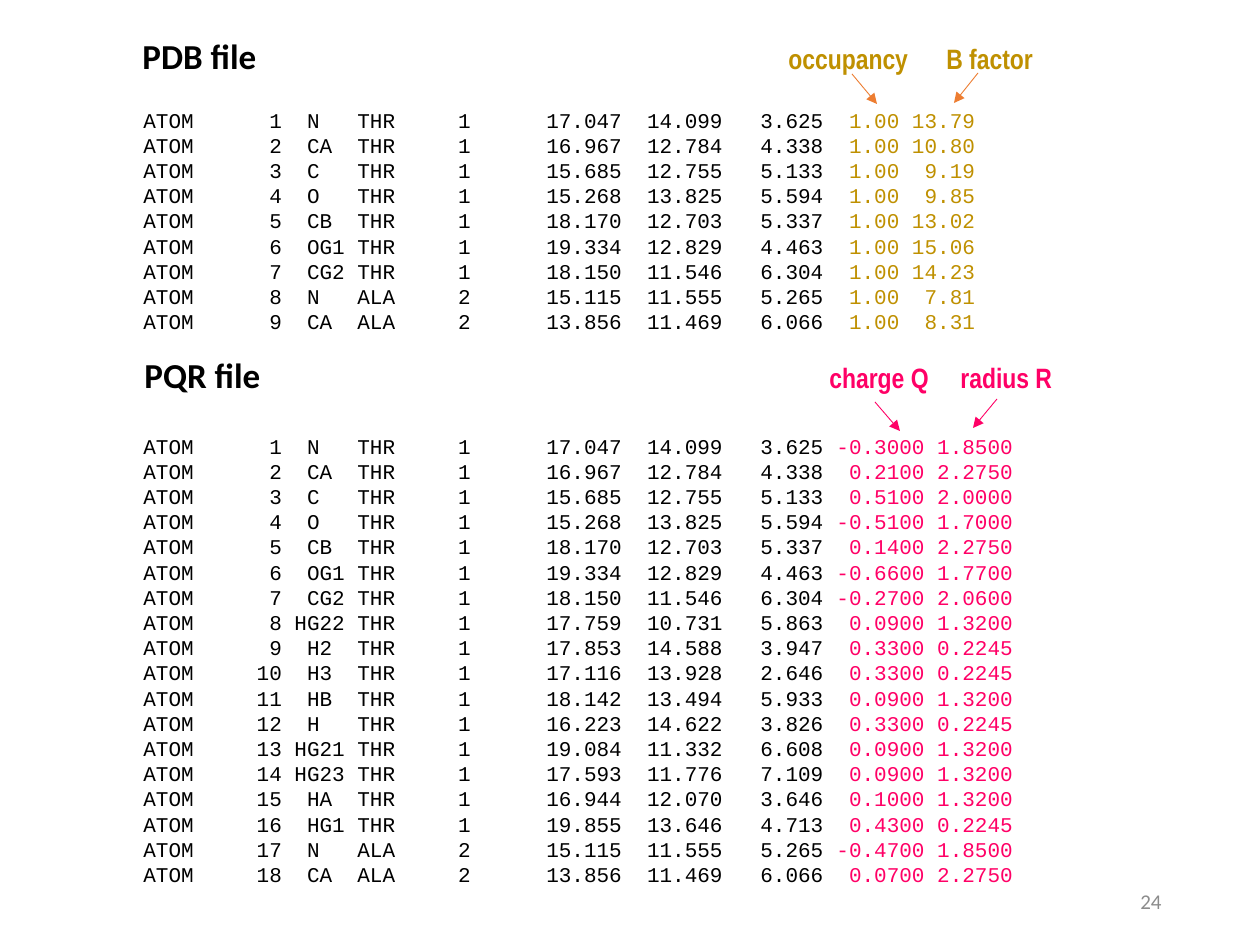
"""Build a slide that sets the columns of PDB and PQR atom files side by side."""
from typing import NamedTuple

from lxml import etree
from pptx import Presentation
from pptx import util as u
from pptx.dml.color import RGBColor
from pptx.enum import shapes, text
from pptx.oxml.ns import qn

BLACK = RGBColor(0x00, 0x00, 0x00)
GREY = RGBColor(0x8C, 0x8C, 0x8C)
GOLD = RGBColor(0xBF, 0x90, 0x00)
ORANGE = RGBColor(0xED, 0x7D, 0x31)
PINK = RGBColor(0xFF, 0x00, 0x66)
SCALE = 914400 / 126
SPLIT = 54

PDB = (
    "ATOM      1  N   THR     1      17.047  14.099   3.625  1.00 13.79",
    "ATOM      2  CA  THR     1      16.967  12.784   4.338  1.00 10.80",
    "ATOM      3  C   THR     1      15.685  12.755   5.133  1.00  9.19",
    "ATOM      4  O   THR     1      15.268  13.825   5.594  1.00  9.85",
    "ATOM      5  CB  THR     1      18.170  12.703   5.337  1.00 13.02",
    "ATOM      6  OG1 THR     1      19.334  12.829   4.463  1.00 15.06",
    "ATOM      7  CG2 THR     1      18.150  11.546   6.304  1.00 14.23",
    "ATOM      8  N   ALA     2      15.115  11.555   5.265  1.00  7.81",
    "ATOM      9  CA  ALA     2      13.856  11.469   6.066  1.00  8.31",
)

PQR = (
    "ATOM      1  N   THR     1      17.047  14.099   3.625 -0.3000 1.8500",
    "ATOM      2  CA  THR     1      16.967  12.784   4.338  0.2100 2.2750",
    "ATOM      3  C   THR     1      15.685  12.755   5.133  0.5100 2.0000",
    "ATOM      4  O   THR     1      15.268  13.825   5.594 -0.5100 1.7000",
    "ATOM      5  CB  THR     1      18.170  12.703   5.337  0.1400 2.2750",
    "ATOM      6  OG1 THR     1      19.334  12.829   4.463 -0.6600 1.7700",
    "ATOM      7  CG2 THR     1      18.150  11.546   6.304 -0.2700 2.0600",
    "ATOM      8 HG22 THR     1      17.759  10.731   5.863  0.0900 1.3200",
    "ATOM      9  H2  THR     1      17.853  14.588   3.947  0.3300 0.2245",
    "ATOM     10  H3  THR     1      17.116  13.928   2.646  0.3300 0.2245",
    "ATOM     11  HB  THR     1      18.142  13.494   5.933  0.0900 1.3200",
    "ATOM     12  H   THR     1      16.223  14.622   3.826  0.3300 0.2245",
    "ATOM     13 HG21 THR     1      19.084  11.332   6.608  0.0900 1.3200",
    "ATOM     14 HG23 THR     1      17.593  11.776   7.109  0.0900 1.3200",
    "ATOM     15  HA  THR     1      16.944  12.070   3.646  0.1000 1.3200",
    "ATOM     16  HG1 THR     1      19.855  13.646   4.713  0.4300 0.2245",
    "ATOM     17  N   ALA     2      15.115  11.555   5.265 -0.4700 1.8500",
    "ATOM     18  CA  ALA     2      13.856  11.469   6.066  0.0700 2.2750",
)


class Box(NamedTuple):
    left: int
    top: int
    width: int
    height: int


class Part(NamedTuple):
    title: str
    labels: tuple[str, str]
    tabs: tuple[int, int]
    head: Box
    rows: tuple[str, ...]
    body: Box
    hue: RGBColor
    line: RGBColor
    arrows: tuple[Box, Box]


PARTS = (
    Part("PDB file", ("occupancy", "B factor"), (646, 804), Box(130, 28, 960, 55),
         PDB, Box(131, 101, 871, 242), GOLD, ORANGE,
         (Box(852, 74, 25, 30), Box(978, 73, -24, 30))),
    Part("PQR file", ("charge Q", "radius R"), (685, 816), Box(132, 347, 979, 55),
         PQR, Box(131, 427, 910, 471), PINK, PINK,
         (Box(875, 402, 25, 29), Box(997, 399, -24, 29))),
)


def px(num: int) -> u.Emu:
    """Turn px into EMU."""
    return u.Emu(round(num * SCALE))


def add_box(slide, box: Box, **form):
    """Add a text box and return its frame."""
    frame = slide.shapes.add_textbox(*map(px, box)).text_frame
    for key, val in form.items():
        setattr(frame, key, val)
    return frame


def add_run(para, words: str, hue: RGBColor, **form) -> None:
    """Add a run with its font."""
    run = para.add_run()
    run.text = words
    run.font.color.rgb = hue
    for key, val in form.items():
        setattr(run.font, key, val)


def add_head(slide, part: Part) -> None:
    """Add a title with its two column labels on tab stops."""
    para = add_box(slide, part.head, word_wrap=True).paragraphs[0]
    stops = etree.SubElement(para._p.get_or_add_pPr(), qn("a:tabLst"))
    for tab in part.tabs:
        etree.SubElement(stops, qn("a:tab"), pos=str(int(px(tab))), algn="l")
    add_run(para, part.title, BLACK, name="Calibri", size=u.Pt(20), bold=True)
    for label in part.labels:
        add_run(para, "\t" + label, part.hue, name="Arial Narrow", size=u.Pt(16), bold=True)


def add_rows(slide, part: Part) -> None:
    """Add the atom lines, with the last two columns in colour."""
    frame = add_box(slide, part.body, word_wrap=False,
                    auto_size=text.MSO_AUTO_SIZE.SHAPE_TO_FIT_TEXT)
    form = {"name": "Courier New", "size": u.Pt(12)}
    for num, row in enumerate(part.rows):
        para = frame.add_paragraph() if num else frame.paragraphs[0]
        add_run(para, row[:SPLIT], BLACK, **form)
        add_run(para, row[SPLIT:], part.hue, **form)


def add_arrow(slide, way: Box, hue: RGBColor) -> None:
    """Add a thin arrow from a label to its column."""
    ends = (way.left, way.top, way.left + way.width, way.top + way.height)
    arrow = slide.shapes.add_connector(shapes.MSO_CONNECTOR.STRAIGHT, *map(px, ends))
    arrow.line.color.rgb = hue
    arrow.line.width = u.Pt(0.5)
    props = arrow._element.spPr
    etree.SubElement(props.find(qn("a:ln")), qn("a:tailEnd"), type="triangle")
    etree.SubElement(props, qn("a:effectLst"))


def main() -> None:
    """Draw both parts and the page number."""
    deck = Presentation()
    deck.slide_width, deck.slide_height = px(1260), px(945)
    slide = deck.slides.add_slide(deck.slide_layouts[6])
    for part in PARTS:
        add_rows(slide, part)
        add_head(slide, part)
        for way in part.arrows:
            add_arrow(slide, way, part.line)
    page = add_box(slide, Box(890, 876, 284, 50), word_wrap=True,
                   vertical_anchor=text.MSO_ANCHOR.MIDDLE).paragraphs[0]
    page.alignment = text.PP_ALIGN.RIGHT
    add_run(page, "24", GREY, name="Calibri", size=u.Pt(12))
    deck.save("out.pptx")


if __name__ == "__main__":
    main()
